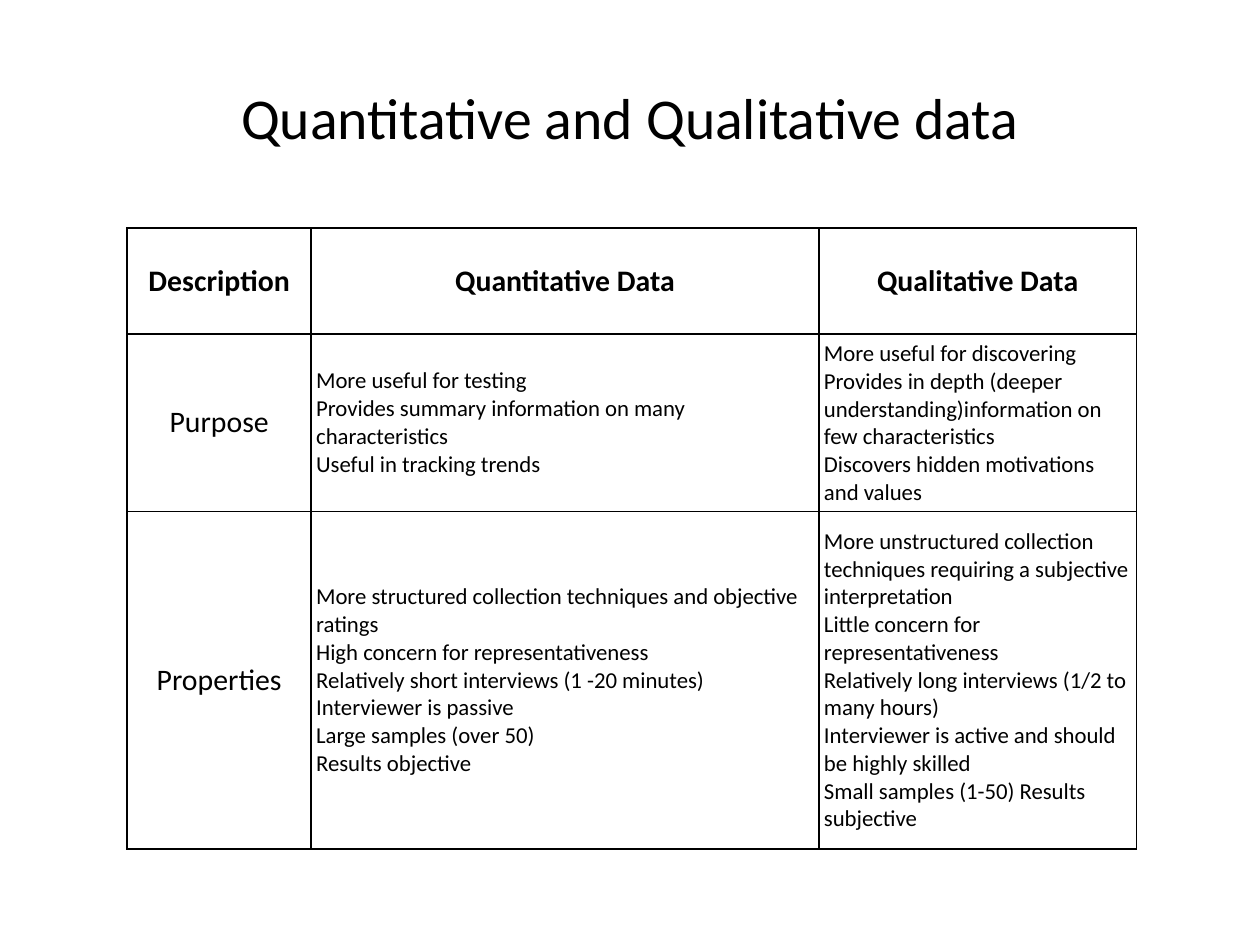
from pptx import Presentation
from pptx.dml.color import RGBColor
from pptx.enum.text import MSO_ANCHOR as Anchor, PP_ALIGN as Align
from pptx.oxml import parse_xml
from pptx.oxml.ns import nsdecls
from pptx.util import Inches, Pt

COLORS = {"text": "000000", "border": "000000", "paper": "FFFFFF"}
FONT = "Calibri"
BORDER_WIDTH = 0.96
COLUMN_WIDTHS = [1.46, 4.03, 2.52]
ROW_HEIGHTS = [0.84, 1.41, 2.68]
TITLE_FORMAT = {"size": Pt(33), "bold": False}
HEADING_FORMAT = {"size": Pt(17), "bold": True}
LABEL_FORMAT = {"size": Pt(17), "bold": False}
DETAIL_FORMAT = {"size": Pt(13), "bold": False}
CELL_FORMAT = {
    "margin_left": Inches(0.04),
    "margin_right": Inches(0.04),
    "margin_top": Inches(0.05),
    "margin_bottom": Inches(0.05),
    "vertical_anchor": Anchor.MIDDLE,
}
ROWS = [
    [["Description"], ["Quantitative Data"], ["Qualitative Data"]],
    [
        ["Purpose"],
        [
            "More useful for testing",
            "Provides summary information on many characteristics",
            "Useful in tracking trends",
        ],
        [
            "More useful for discovering",
            "Provides in depth (deeper understanding)information on few characteristics",
            "Discovers hidden motivations and values",
        ],
    ],
    [
        ["Properties"],
        [
            "More structured collection techniques and objective ratings",
            "High concern for representativeness",
            "Relatively short interviews (1 -20 minutes)",
            "Interviewer is passive",
            "Large samples (over 50)",
            "Results objective",
        ],
        [
            "More unstructured collection techniques requiring a subjective interpretation",
            "Little concern for representativeness",
            "Relatively long interviews (1/2 to many hours)",
            "Interviewer is active and should be highly skilled",
            "Small samples (1-50) Results subjective",
        ],
    ],
]


class SlideBuilder:
    """Hold the style and the current slide, and add elements to it."""

    def __init__(self, page):
        self.page = page
        page.background.fill.solid()
        page.background.fill.fore_color.rgb = RGBColor.from_string(COLORS["paper"])

    def add_lines(self, frame, lines, align, font_format):
        for index, line in enumerate(lines):
            para = frame.add_paragraph() if index else frame.paragraphs[0]
            para.alignment = align
            span = para.add_run()
            span.text = line
            for name, value in {"name": FONT, **font_format}.items():
                setattr(span.font, name, value)
            span.font.color.rgb = RGBColor.from_string(COLORS["text"])

    def title(self, text, left, top, width, height):
        box = self.page.shapes.add_textbox(
            Inches(left), Inches(top), Inches(width), Inches(height)
        )
        box.text_frame.word_wrap = True
        box.text_frame.vertical_anchor = Anchor.MIDDLE
        self.add_lines(box.text_frame, [text], Align.CENTER, TITLE_FORMAT)

    def outline(self, cell):
        properties = cell._tc.get_or_add_tcPr()
        for index, side in enumerate(["lnL", "lnR", "lnT", "lnB"]):
            line = parse_xml(
                f'<a:{side} {nsdecls("a")} w="{Pt(BORDER_WIDTH)}"><a:solidFill>'
                f'<a:srgbClr val="{COLORS["border"]}"/></a:solidFill></a:{side}>'
            )
            properties.insert(index, line)

    def cell(self, cell, lines, align, font_format):
        for name, value in CELL_FORMAT.items():
            setattr(cell, name, value)
        cell.fill.background()
        self.outline(cell)
        self.add_lines(cell.text_frame, lines, align, font_format)

    def table(self, rows, left, top):
        table = self.page.shapes.add_table(
            len(rows), len(COLUMN_WIDTHS), Inches(left), Inches(top),
            Inches(sum(COLUMN_WIDTHS)), Inches(sum(ROW_HEIGHTS)),
        ).table
        table.horz_banding = False
        for column, width in zip(table.columns, COLUMN_WIDTHS):
            column.width = Inches(width)
        for row_index, (row, height) in enumerate(zip(table.rows, ROW_HEIGHTS)):
            row.height = Inches(height)
            for column_index, lines in enumerate(rows[row_index]):
                align, font_format = Align.LEFT, DETAIL_FORMAT
                if row_index == 0:
                    align, font_format = Align.CENTER, HEADING_FORMAT
                elif column_index == 0:
                    align, font_format = Align.CENTER, LABEL_FORMAT
                self.cell(row.cells[column_index], lines, align, font_format)


def main():
    deck = Presentation()
    deck.slide_width, deck.slide_height = Inches(10), Inches(7.5)
    builder = SlideBuilder(deck.slides.add_slide(deck.slide_layouts[6]))
    builder.title("Quantitative and Qualitative data", 0.5, 0.3, 9, 1.25)
    builder.table(ROWS, 1.01, 1.81)
    deck.save("out.pptx")


if __name__ == "__main__":
    main()
